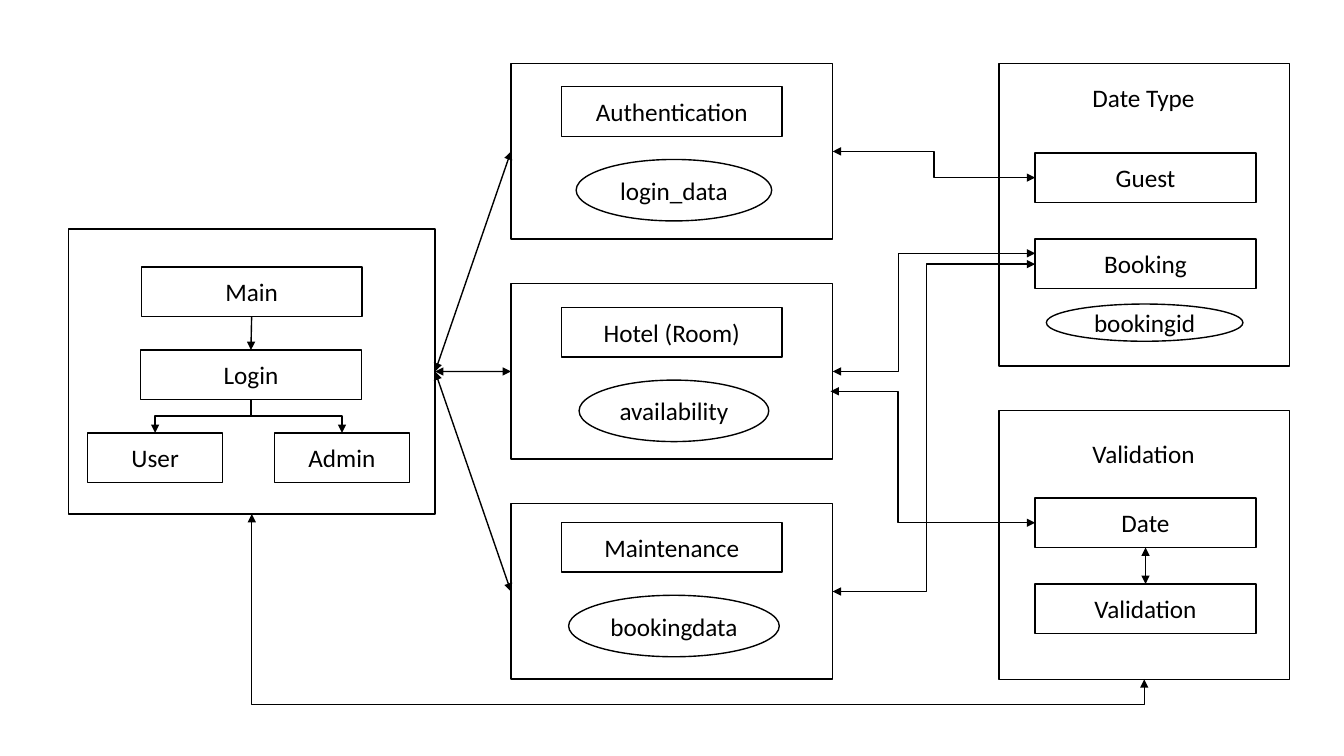
"""Build a module diagram of a hotel booking system."""
from dataclasses import dataclass

from lxml import etree
from pptx import Presentation
from pptx.dml import color
from pptx.enum import shapes, text
from pptx.oxml import ns
from pptx.util import Pt


@dataclass(frozen=True)
class Theme:
    """Hold the colours and type sizes of the slide."""
    ink: color.RGBColor = color.RGBColor(0, 0, 0)
    paper: color.RGBColor = color.RGBColor(255, 255, 255)
    font: str = "Calibri"
    size: float = 18
    line: float = 1


THEME = Theme()
BOX_WIDTH, BOX_HEIGHT = 157.7, 35.4
ROLE_WIDTH = 96.5
OVAL_HEIGHT = 43.9
MODULE_LEFT, MODULE_TOP, MODULE_PITCH = 365, 45.5, 157.2
MODULE_WIDTH, MODULE_HEIGHT = 229.8, 125.3
MODULE_RIGHT = MODULE_LEFT + MODULE_WIDTH
DATA_LEFT, DATA_WIDTH = 713.7, 207.4
ENTRY_LEFT = 739.4
MODULES = [
    ("Authentication", "login_data", 139.7, 16.4),
    ("Hotel (Room)", "availability", 135.5, 16.8),
    ("Maintenance", "bookingdata", 150.5, 13.3),
]


def write(shape, wording, alignment):
    """Put one line of styled text in a shape."""
    shape.text_frame.text = wording
    paragraph = shape.text_frame.paragraphs[0]
    paragraph.alignment = alignment
    for run in paragraph.runs:
        run.font.name = THEME.font
        run.font.size = Pt(THEME.size)
        run.font.color.rgb = THEME.ink


def add_box(slide, left, top, width, height, wording="", kind=shapes.MSO_SHAPE.RECTANGLE):
    """Add an outlined shape with optional centred text."""
    shape = slide.shapes.add_shape(kind, Pt(left), Pt(top), Pt(width), Pt(height))
    shape.shadow.inherit = False
    shape.fill.solid()
    shape.fill.fore_color.rgb = THEME.paper
    shape.line.color.rgb = THEME.ink
    shape.line.width = Pt(THEME.line)
    if wording:
        write(shape, wording, text.PP_ALIGN.CENTER)
    return shape


def add_oval(slide, center, top, width, height, wording):
    """Add a data ellipse centred on a horizontal position."""
    return add_box(slide, center - width / 2, top, width, height, wording, shapes.MSO_SHAPE.OVAL)


def add_title(slide, top, wording):
    """Add the heading of a data panel."""
    title = slide.shapes.add_textbox(Pt(773.3), Pt(top), Pt(88.6), Pt(29))
    title.text_frame.word_wrap = False
    title.text_frame.auto_size = text.MSO_AUTO_SIZE.SHAPE_TO_FIT_TEXT
    write(title, wording, text.PP_ALIGN.LEFT)


def add_line(slide, kind, begin, end, both):
    """Add a connector with an arrowhead at its end or at both ends."""
    connector = slide.shapes.add_connector(kind, *(Pt(value) for value in (*begin, *end)))
    connector.line.color.rgb = THEME.ink
    connector.line.width = Pt(THEME.line)
    properties = connector.line._get_or_add_ln()
    for tag in ("a:headEnd", "a:tailEnd") if both else ("a:tailEnd",):
        etree.SubElement(properties, ns.qn(tag), type="triangle")
    etree.SubElement(connector._element.spPr, ns.qn("a:effectLst"))
    return connector


def join(slide, source, source_side, target, target_side, both=True):
    """Join two shapes with a straight arrow."""
    connector = add_line(slide, shapes.MSO_CONNECTOR.STRAIGHT, (0, 0), (0, 0), both)
    connector.begin_connect(source, source_side)
    connector.end_connect(target, target_side)


def set_bend(connector, share):
    """Place the middle segment of an elbow at a share of its run."""
    geometry = connector._element.spPr.find(ns.qn("a:prstGeom"))
    adjustments = geometry.find(ns.qn("a:avLst"))
    if adjustments is None:
        adjustments = etree.SubElement(geometry, ns.qn("a:avLst"))
    etree.SubElement(adjustments, ns.qn("a:gd"), name="adj1", fmla=f"val {round(share * 100000)}")


def route_across(slide, begin, end, bend):
    """Add a double elbow arrow whose middle segment stands at x = bend."""
    connector = add_line(slide, shapes.MSO_CONNECTOR.ELBOW, begin, end, True)
    set_bend(connector, (bend - begin[0]) / (end[0] - begin[0]))


def route_down(slide, begin, end, bend, both=False):
    """Add an elbow arrow whose middle segment lies at y = bend."""
    center_x, center_y = (begin[0] + end[0]) / 2, (begin[1] + end[1]) / 2
    sign = 1 if end[0] > begin[0] else -1
    half_run = sign * (end[1] - begin[1]) / 2
    half_rise = abs(end[0] - begin[0]) / 2
    connector = add_line(
        slide, shapes.MSO_CONNECTOR.ELBOW,
        (center_x + half_run, center_y - half_rise),
        (center_x - half_run, center_y + half_rise), both)
    connector._element.spPr.xfrm.set("rot", str((270 if sign > 0 else 90) * 60000))
    set_bend(connector, (bend - begin[1]) / (end[1] - begin[1]))


def add_data_panels(slide):
    """Add the data type and validation panels."""
    add_box(slide, DATA_LEFT, 45.5, DATA_WIDTH, 216)
    add_box(slide, DATA_LEFT, 293.1, DATA_WIDTH, 192.2)
    add_title(slide, 55, "Date Type")
    add_title(slide, 309.6, "Validation")
    entries = [("Guest", 109.2), ("Booking", 170.7), ("Date", 355.7), ("Validation", 417.1)]
    boxes = [add_box(slide, ENTRY_LEFT, top, BOX_WIDTH, BOX_HEIGHT, name) for name, top in entries]
    add_oval(slide, 817.6, 217.2, 140.4, 26.6, "bookingid")
    join(slide, boxes[3], 0, boxes[2], 2)


def add_modules(slide):
    """Add the three modules with their data and return their panels."""
    panels = []
    for index, (name, data, oval_width, inset) in enumerate(MODULES):
        top = MODULE_TOP + index * MODULE_PITCH
        panels.append(add_box(slide, MODULE_LEFT, top, MODULE_WIDTH, MODULE_HEIGHT))
        add_box(slide, 401, top + inset, BOX_WIDTH, BOX_HEIGHT, name)
        add_oval(slide, 481.4, top + inset + 52, oval_width, OVAL_HEIGHT, data)
    return panels


def add_main_panel(slide):
    """Add the main panel with its login flow and return it."""
    panel = add_box(slide, 49, 163.6, 261.8, 203.6)
    main_box = add_box(slide, 100.9, 190.6, BOX_WIDTH, BOX_HEIGHT, "Main")
    login = add_box(slide, 100.4, 250, BOX_WIDTH, BOX_HEIGHT, "Login")
    join(slide, main_box, 2, login, 0, both=False)
    for name, left in (("User", 62.6), ("Admin", 196)):
        add_box(slide, left, 309.2, ROLE_WIDTH, BOX_HEIGHT, name)
        route_down(slide, (179.3, 285.4), (left + ROLE_WIDTH / 2, 309.2), 297.3)
    return panel


def main():
    """Build and save the slide."""
    presentation = Presentation()
    presentation.slide_width, presentation.slide_height = Pt(960), Pt(540)
    slide = presentation.slides.add_slide(presentation.slide_layouts[6])
    add_data_panels(slide)
    modules = add_modules(slide)
    main_panel = add_main_panel(slide)
    for module in modules:
        join(slide, main_panel, 3, module, 1)
    middles = [MODULE_TOP + MODULE_HEIGHT / 2 + index * MODULE_PITCH for index in range(3)]
    route_across(slide, (MODULE_RIGHT, middles[0]), (ENTRY_LEFT, 126.9), 667.1)
    route_across(slide, (MODULE_RIGHT, middles[1]), (ENTRY_LEFT, 181), 642)
    route_across(slide, (MODULE_RIGHT, middles[2]), (ENTRY_LEFT, 188.7), 661.7)
    route_across(slide, (593.3, 279.5), (ENTRY_LEFT, 373.4), 641.5)
    route_down(slide, (179.9, 367.2), (817.4, 485.3), 503.3, both=True)
    presentation.save("out.pptx")


if __name__ == "__main__":
    main()
